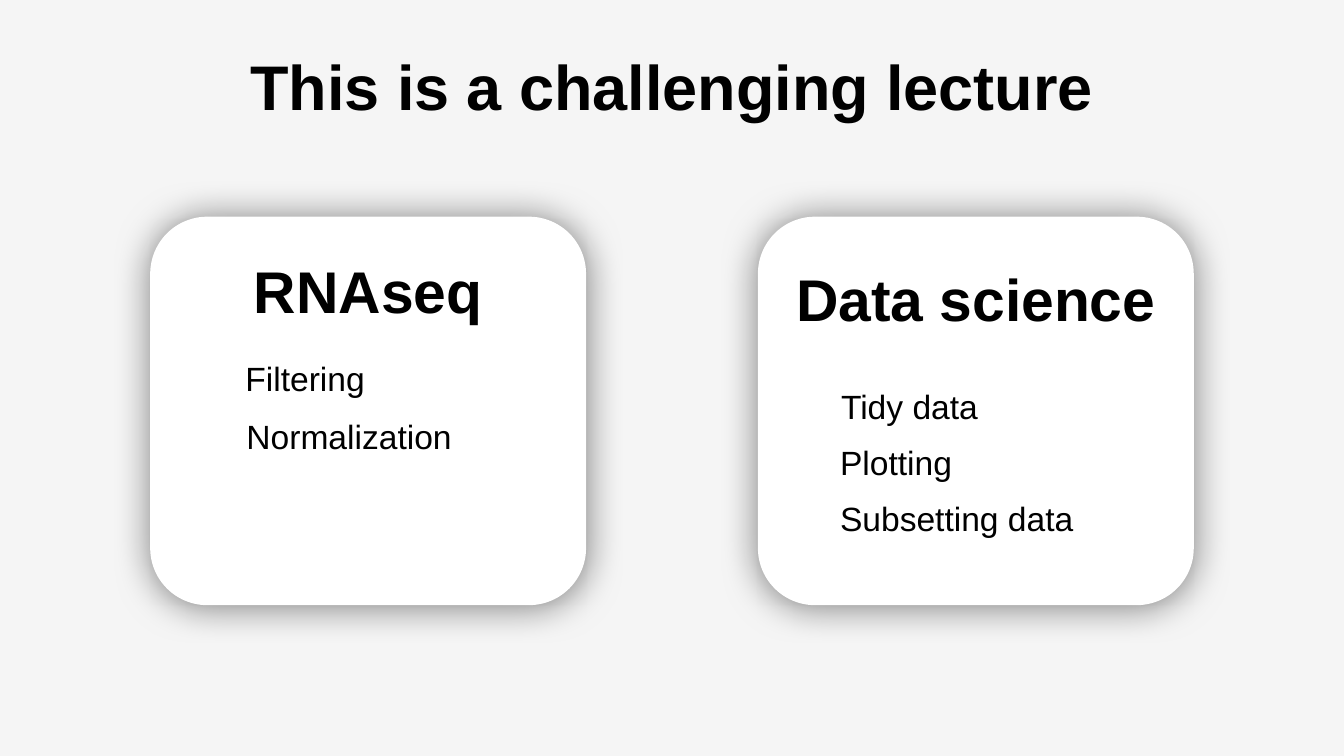
from lxml.etree import SubElement
from pptx import Presentation
from pptx.dml.color import RGBColor
from pptx.enum.shapes import MSO_SHAPE
from pptx.enum.text import MSO_ANCHOR, PP_ALIGN
from pptx.oxml.ns import qn
from pptx.util import Cm, Pt

COLORS = {"background": "F5F5F5", "card": "FFFFFF", "text": "000000", "shadow": "000000"}
CARD_TOP, CARD_WIDTH, CARD_HEIGHT = 10.92, 21.97, 19.58
ITEM_HEIGHT = 2.13

# Items are (text, left, width) in centimetres.
CARDS = [
    {"left": 38.2, "heading": "Data science", "heading_width": 18.54,
     "heading_top": 11.23, "heading_height": 7.59,
     "first_item_top": 19.51, "item_step": 2.84,
     "items": [("Tidy data", 42.24, 7.34), ("Plotting", 42.19, 6.12),
               ("Subsetting data", 42.19, 12.29)]},
    {"left": 7.57, "heading": "RNAseq", "heading_width": 11.96,
     "heading_top": 12.62, "heading_height": 3.99,
     "first_item_top": 18.11, "item_step": 2.92,
     "items": [("Filtering", 12.22, 6.35), ("Normalization", 12.27, 10.72)]},
]


def write_text(shape, text, size, bold=False, align=PP_ALIGN.LEFT, inset=0.2,
               line_spacing=1.0, wrap=False):
    frame = shape.text_frame
    frame.word_wrap = wrap
    frame.vertical_anchor = MSO_ANCHOR.MIDDLE
    frame.margin_left = frame.margin_right = Cm(inset)
    frame.margin_top = frame.margin_bottom = Cm(inset)
    paragraph = frame.paragraphs[0]
    paragraph.text = text
    paragraph.alignment = align
    paragraph.line_spacing = line_spacing
    paragraph.space_before = Pt(0)
    font = paragraph.runs[0].font
    font.name = "Arial"
    font.size = Pt(size)
    font.bold = bold
    font.color.rgb = RGBColor.from_string(COLORS["text"])


def add_soft_shadow(shape):
    shape.shadow.inherit = False
    effects = shape._element.spPr.find(qn("a:effectLst"))
    shadow = SubElement(effects, qn("a:outerShdw"), blurRad=str(Pt(53)),
                        dist=str(Pt(2)), dir="5400000", rotWithShape="0")
    color = SubElement(shadow, qn("a:srgbClr"), val=COLORS["shadow"])
    SubElement(color, qn("a:alpha"), val="50000")


presentation = Presentation()
presentation.slide_width = Cm(67.74)
presentation.slide_height = Cm(38.1)
slide = presentation.slides.add_slide(presentation.slide_layouts[5])
slide.background.fill.solid()
slide.background.fill.fore_color.rgb = RGBColor.from_string(COLORS["background"])

title = slide.shapes.title
title.left, title.top, title.width, title.height = Cm(12.4), Cm(2.21), Cm(42.95), Cm(4.22)
write_text(title, "This is a challenging lecture", 90, bold=True, align=PP_ALIGN.CENTER)

for card in CARDS:
    panel = slide.shapes.add_shape(MSO_SHAPE.ROUNDED_RECTANGLE, Cm(card["left"]),
                                   Cm(CARD_TOP), Cm(CARD_WIDTH), Cm(CARD_HEIGHT))
    panel.adjustments[0] = 0.147
    panel.fill.solid()
    panel.fill.fore_color.rgb = RGBColor.from_string(COLORS["card"])
    panel.line.fill.background()
    add_soft_shadow(panel)

    heading_left = card["left"] + (CARD_WIDTH - card["heading_width"]) / 2
    heading = slide.shapes.add_textbox(Cm(heading_left), Cm(card["heading_top"]),
                                       Cm(card["heading_width"]), Cm(card["heading_height"]))
    write_text(heading, card["heading"], 84, bold=True, align=PP_ALIGN.CENTER)

    for index, (text, left, width) in enumerate(card["items"]):
        top = card["first_item_top"] + index * card["item_step"]
        item = slide.shapes.add_textbox(Cm(left), Cm(top), Cm(width), Cm(ITEM_HEIGHT))
        write_text(item, text, 48, inset=0.15, line_spacing=0.9)

presentation.save("out.pptx")
